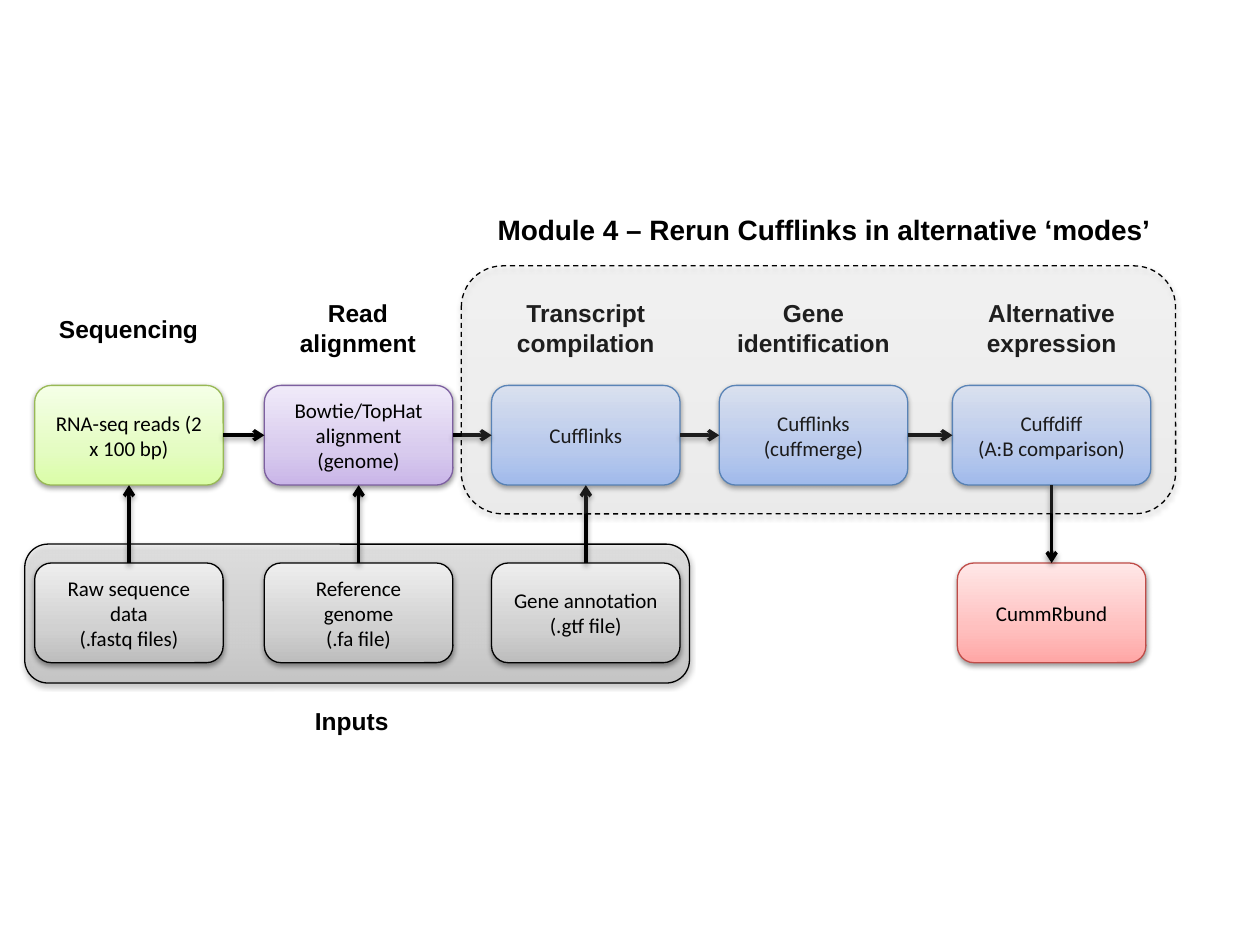
"""Build the RNA-seq workflow slide with its inputs and the module 4 panel."""
from pptx import Presentation
from pptx.dml.color import RGBColor
from pptx.enum.dml import MSO_LINE
from pptx.enum.shapes import MSO_CONNECTOR as CONN, MSO_SHAPE as SHAPE
from pptx.enum.text import MSO_ANCHOR as ANCHOR, PP_ALIGN as ALIGN
from pptx.oxml import parse_xml
from pptx.oxml.ns import nsdecls
from pptx.util import Cm, Pt

rgb = RGBColor.from_string
NS = nsdecls("a")
SHADOW = (f'<a:effectLst {NS}><a:outerShdw blurRad="40000" dist="20000" dir="5400000" '
          'rotWithShape="0"><a:srgbClr val="000000"><a:alpha val="38000"/></a:srgbClr>'
          '</a:outerShdw></a:effectLst>')
ARROW = f'<a:tailEnd {NS} type="arrow"/>'
LABEL = {"size": Pt(12), "name": "Calibri", "bold": False}
HEADING = {"size": Pt(14), "name": "Arial", "bold": True}
TITLE = {**HEADING, "size": Pt(16)}
STYLES = {
    "green": ("98B955", "DAFDA7", "E4FCC2", "F5FFE7"),
    "purple": ("7D60A0", "C9B5E8", "D8CBEE", "F0EAF9"),
    "blue": ("4B7EBC", "A4C4FF", "BFD4FF", "E6EEFF"),
    "red": ("BF4C48", "FFA6A5", "FFC0BF", "FFE7E7"),
    "gray": ("000000", "BDBDBD", "D1D1D1", "EEEEEE"),
}

prs = Presentation()
prs.slide_width, prs.slide_height = Cm(25.4), Cm(19.05)
s = prs.slides.add_slide(prs.slide_layouts[6])


def write(sp, text, font, wrap=True, align=ALIGN.CENTER):
    tf = sp.text_frame
    tf.word_wrap = wrap
    tf.text = text
    for p in tf.paragraphs:
        p.alignment = align
        for r in p.runs:
            for key, value in font.items():
                setattr(r.font, key, value)
            r.font.color.rgb = rgb("000000")


def add_rounded(left, top, width, height, style, opacity=100):
    line, *colors = STYLES[style]
    sp = s.shapes.add_shape(SHAPE.ROUNDED_RECTANGLE, Cm(left), Cm(top), Cm(width), Cm(height))
    stops = "".join(
        f'<a:gs pos="{pos}000"><a:srgbClr val="{color}"><a:alpha val="{opacity}000"/>'
        '</a:srgbClr></a:gs>' for pos, color in zip((0, 35, 100), colors))
    sp._element.spPr.insert(2, parse_xml(
        f'<a:gradFill {NS} rotWithShape="1"><a:gsLst>{stops}</a:gsLst>'
        '<a:lin ang="16200000" scaled="0"/></a:gradFill>'))
    sp.line.color.rgb = rgb(line)
    sp.line.width = Pt(0.75)
    sp.text_frame.vertical_anchor = ANCHOR.MIDDLE
    return sp


STEP_TOP, INPUT_TOP, BOX_W, BOX_H = 7.77, 11.35, 3.8, 2.01
STEP_BOTTOM, STEP_MIDDLE = STEP_TOP + BOX_H, STEP_TOP + BOX_H / 2

add_rounded(0.5, 10.97, 13.4, 2.8, "gray", 51)

steps = [
    (2.6, BOX_W, "green", "RNA-seq reads (2 x 100 bp)"),
    (7.23, BOX_W, "purple", "Bowtie/TopHat alignment (genome)"),
    (11.81, BOX_W, "blue", "Cufflinks"),
    (16.4, BOX_W, "blue", "Cufflinks (cuffmerge)"),
    (21.2, 4, "blue", "Cuffdiff\n(A:B comparison)"),
]
inputs = ["Raw sequence data\n(.fastq files)", "Reference genome\n(.fa file)",
          "Gene annotation\n(.gtf file)"]
centers = [step[0] for step in steps]
boxes = [(center, STEP_TOP, width, style, text) for center, width, style, text in steps]
boxes += [(center, INPUT_TOP, BOX_W, "gray", text) for center, text in zip(centers, inputs)]
boxes.append((centers[-1], INPUT_TOP, BOX_W, "red", "CummRbund"))
for center, top, width, style, text in boxes:
    write(add_rounded(center - width / 2, top, width, BOX_H, style), text, LABEL)

arrows = [(c1 + w1 / 2, STEP_MIDDLE, c2 - w2 / 2, STEP_MIDDLE)
          for (c1, w1, *_), (c2, w2, *_) in zip(steps, steps[1:])]
arrows += [(center, INPUT_TOP, center, STEP_BOTTOM) for center in centers[:3]]
arrows.append((centers[-1], STEP_BOTTOM, centers[-1], INPUT_TOP))
for ends in arrows:
    sp = s.shapes.add_connector(CONN.STRAIGHT, *(Cm(end) for end in ends))
    sp.line.color.rgb = rgb("000000")
    sp.line.width = Pt(2)
    sp.line._get_or_add_ln().append(parse_xml(ARROW))

captions = [
    (9.78, 4.16, 13.72, 0.94, "Module 4 – Rerun Cufflinks in alternative ‘modes’", TITLE, False),
    (0.94, 6.2, 3.33, 0.86, "Sequencing", HEADING, False),
    (6.1, 14.1, 2, 0.86, "Inputs", HEADING, False),
    (5.49, 5.89, 3.45, 1.45, "Read alignment", HEADING, True),
]
headings = ["Transcript compilation", "Gene identification", "Alternative expression"]
captions += [(center - 2.3, 5.89, 4.6, 1.45, text, HEADING, True)
             for center, text in zip(centers[2:], headings)]
for left, top, width, height, text, font, wrap in captions:
    sp = s.shapes.add_textbox(Cm(left), Cm(top), Cm(width), Cm(height))
    write(sp, text, font, wrap, ALIGN.CENTER if wrap else ALIGN.LEFT)

module = add_rounded(9.3, 5.36, 14.4, 5, "gray", 13)
module.line.dash_style = MSO_LINE.DASH

for sp in s.shapes:
    if sp._element.spPr.find("{*}ln") is not None:
        sp._element.spPr.append(parse_xml(SHADOW))

prs.save("out.pptx")
